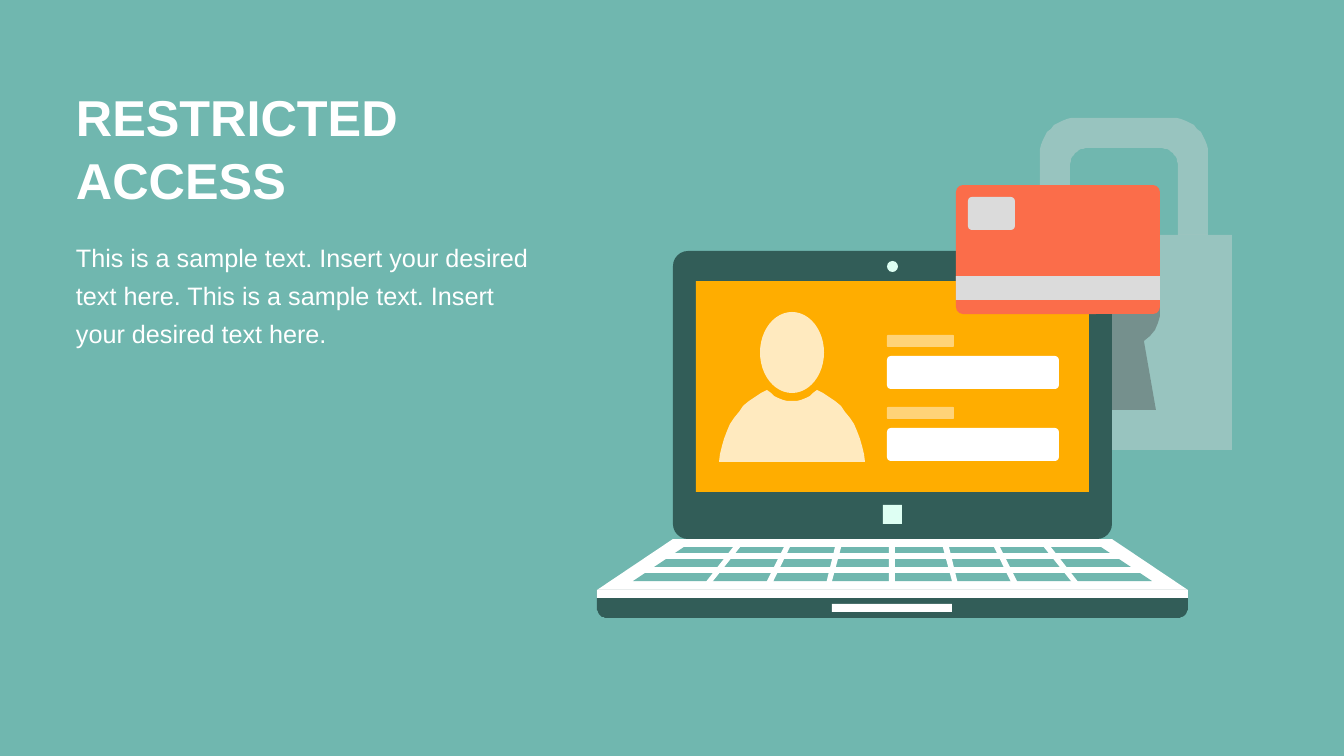
from math import cos, radians, sin

from lxml.etree import SubElement
from pptx import Presentation
from pptx.dml.color import RGBColor
from pptx.enum.shapes import MSO_SHAPE as SHAPE
from pptx.oxml.ns import qn
from pptx.util import Pt

PX = 12192000 / 1344
WHITE, TEAL, DARK, MINT = "FFFFFF", "70B7AF", "325D58", "DEFFF3"
ORANGE, CORAL, SILVER, PALE = "FFAD00", "FB6D4A", "DBDBDB", "D9D9D9"

prs = Presentation()
prs.slide_width, prs.slide_height = round(1344 * PX), round(756 * PX)
s = prs.slides.add_slide(prs.slide_layouts[6])
s.background.fill.solid()
s.background.fill.fore_color.rgb = RGBColor.from_string(TEAL)


def draw(shapes, geom, color, alpha=100, radius=0, kind=SHAPE.RECTANGLE):
    if isinstance(geom, list):
        fb = shapes.build_freeform(*geom[0], scale=PX)
        fb.add_line_segments(geom[1:], close=True)
        sp = fb.convert_to_shape()
    else:
        box = [round(v * PX) for v in geom]
        sp = shapes.add_shape(SHAPE.ROUNDED_RECTANGLE if radius else kind, *box)
        if radius:
            sp.adjustments[0] = radius / min(geom[2:])
    sp.shadow.inherit = False
    sp.line.fill.background()
    sp.fill.solid()
    sp.fill.fore_color.rgb = RGBColor.from_string(color)
    if alpha < 100:
        clr = sp.fill._xPr.find(qn("a:solidFill"))[0]
        SubElement(clr, qn("a:alpha")).set("val", str(alpha * 1000))


def arc(cx, cy, rx, ry, start, end, steps=12):
    angles = [radians(start + (end - start) * i / steps) for i in range(steps + 1)]
    return [(cx + rx * cos(a), cy + ry * sin(a)) for a in angles]


texts = [
    ("RESTRICTED ACCESS", 76, 126, 36, True, 1.05),
    ("This is a sample text. Insert your desired text here. "
     "This is a sample text. Insert your desired text here.", 227, 420, 18, False, 1.26),
]
for text, y, h, size, bold, spacing in texts:
    tb = s.shapes.add_textbox(*[round(v * PX) for v in (76, y, 462, h)])
    tf = tb.text_frame
    tf.word_wrap = True
    tf.margin_left = tf.margin_right = 0
    tf.margin_top = tf.margin_bottom = round(7 * PX)
    p = tf.paragraphs[0]
    p.line_spacing = spacing
    r = p.add_run()
    r.text = text
    r.font.name, r.font.size, r.font.bold = "Arial", Pt(size), bold
    r.font.color.rgb = RGBColor.from_string(WHITE)

art = s.shapes.add_group_shape().shapes

draw(art, (1017, 235, 215, 215), PALE, 39)
keyhole = arc(1124, 311, 36, 36, 124, 416, 24) + [(1156, 410), (1093, 410)]
draw(art, keyhole, "404040", 39)
shackle = [(1040, 235)] + arc(1076, 154, 36, 36, 180, 270) + arc(1172, 154, 36, 36, 270, 360)
shackle += [(1208, 235), (1178, 235)]
shackle += arc(1160, 166, 18, 18, 360, 270) + arc(1088, 166, 18, 18, 270, 180) + [(1070, 235)]
draw(art, shackle, PALE, 39)

draw(art, (673, 251, 439, 288), DARK, radius=15)
draw(art, (696, 281, 393, 211), ORANGE)
draw(art, (887, 261, 11, 11), MINT, kind=SHAPE.OVAL)
draw(art, (883, 505, 19, 19), MINT)
draw(art, [(673, 539), (1112, 539), (1188, 590), (597, 590)], WHITE)
base = [(597, 590), (1188, 590)] + arc(1177, 607, 11, 11, 0, 90) + arc(608, 607, 11, 11, 90, 180)
draw(art, base, DARK)
draw(art, (832, 604, 120, 8), WHITE)
draw(art, (597, 590, 591, 8), WHITE)

draw(art, [(684, 547), (1101, 547), (1152, 581), (633, 581)], TEAL)
for bar in [(889, 544, 6, 41), (656, 553, 470, 6), (639, 567, 511, 6)]:
    draw(art, bar, WHITE)
key_gaps = [
    [(948, 543), (958, 584), (953, 585), (942, 544)],
    [(998, 543), (1018, 583), (1013, 586), (993, 545)],
    [(1047, 542), (1079, 583), (1075, 586), (1043, 546)],
]
for gap in key_gaps:
    draw(art, gap, WHITE)
    draw(art, [(1784 - x, y) for x, y in gap], WHITE)

draw(art, (760, 312, 64, 81), WHITE, 75, kind=SHAPE.OVAL)
shoulders = arc(792, 367, 34, 34, 137, 43) + arc(792, 469, 73, 84, -70, -5)
shoulders += arc(792, 469, 73, 84, 185, 250)
draw(art, shoulders, WHITE, 75)
for y in (335, 407):
    draw(art, (887, y, 67, 12), WHITE, 47, radius=1)
    draw(art, (887, y + 21, 172, 33), WHITE, radius=4)

draw(art, (956, 185, 204, 129), CORAL, radius=7)
draw(art, (956, 276, 204, 24), SILVER)
draw(art, (968, 197, 47, 33), SILVER, radius=4)

prs.save("out.pptx")
